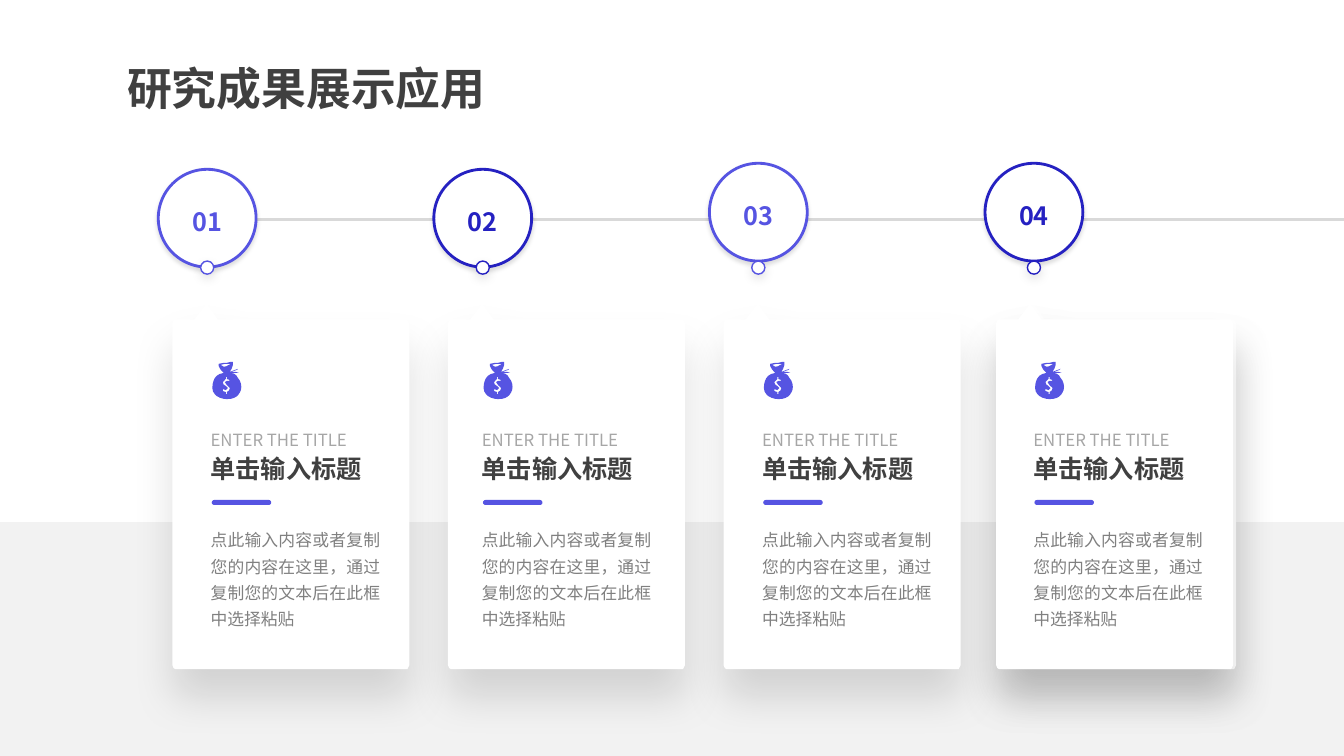
import math

from lxml import etree
from pptx import Presentation
from pptx import util as u
from pptx.dml import color as dml
from pptx.enum import shapes as kinds, text
from pptx.oxml import ns

FONT = "Noto Sans CJK SC"
VIOLET, NAVY, WHITE = "5654E2", "2521C1", "FFFFFF"
CARD_SHADOW = (13, 30, 20)
STEP_LEFT, STEP_PITCH = 1.57, 8.2 / 3
STEPS = [("01", VIOLET, 1.68), ("02", NAVY, 1.68), ("03", VIOLET, 1.62), ("04", NAVY, 1.62)]
CONTENT_LEFTS = [1.99, 4.68, 7.46, 10.15]

CARD = ["34 0, 45 16, 233 16, 234 16 235 17 235 20, 235 359, 235 361 234 363 233 363, "
        "3 363, 2 363 0 361 0 359, 0 20, 0 17 2 16 3 16, 22 16"]
MONEY_BAG = [
    "26 17, 25 14 22 12 19 12, 26 12, 27 12, 24 11, 19 11, 25 9, 26 8, 23 9, 18 11, "
    "20 8 22 3 21 1, 19 1, 15 2, 12 2, 7 3, 6 4 8 9 12 12, "
    "4 13 2 18 1 23, 0 27 1 31 3 33, 5 36 11 38 15 38, "
    "24 38 27 34 29 29, 30 25 29 20 26 17",
    "13 3, 19 3, 17 4, 14 6 12 7 9 4",
    "15 31, 15 33, 14 33, 14 31, 11 30, 11 28, 14 29, 16 27, 14 25, "
    "12 24 11 23 11 21, 11 20 12 19 14 18, 14 16, 15 16, 15 18, 18 19, 17 20, 15 20, "
    "13 21, 15 24, 17 24 18 25 18 27, 18 29 17 30 15 31",
]


def rgb(value):
    return dml.RGBColor.from_string(value)


def box(*lengths):
    return [u.Inches(length) for length in lengths]


def paint(shape, fill, line=None, width=1, shadow=None):
    shape.shadow.inherit = False
    shape.fill.solid()
    shape.fill.fore_color.rgb = rgb(fill)
    if line:
        shape.line.color.rgb = rgb(line)
        shape.line.width = u.Pt(width)
    else:
        shape.line.fill.background()
    if shadow:
        alpha, blur, distance = shadow
        effects = shape._element.spPr.find(ns.qn("a:effectLst"))
        outer = etree.SubElement(effects, ns.qn("a:outerShdw"), blurRad=str(u.Pt(blur)),
                                 dist=str(u.Pt(distance)), dir="5400000",
                                 algn="t", rotWithShape="0")
        black = etree.SubElement(outer, ns.qn("a:srgbClr"), val="000000")
        etree.SubElement(black, ns.qn("a:alpha"), val=str(alpha * 1000))


def write(frame, words, size, color, bold=False, spacing=1.2, align=text.PP_ALIGN.JUSTIFY):
    frame.word_wrap = True
    paragraph = frame.paragraphs[0]
    paragraph.alignment = align
    paragraph.line_spacing = spacing
    run = paragraph.add_run()
    run.text = words
    run.font.size = u.Pt(size)
    run.font.bold = bold
    run.font.color.rgb = rgb(color)
    run.font.name = FONT
    etree.SubElement(run._r.get_or_add_rPr(), ns.qn("a:ea"), typeface=FONT)


def trace(contour):
    numbers = [[float(n) for n in part.split()] for part in contour.split(",")]
    points = [tuple(numbers[0])]
    for segment in numbers[1:]:
        if len(segment) == 2:
            points.append(tuple(segment))
            continue
        x0, y0 = points[-1]
        x1, y1, x2, y2, x3, y3 = segment
        steps = max(1, round(math.dist((x0, y0), (x3, y3)) / 3))
        for i in range(1, steps + 1):
            t = i / steps
            a, b, c, d = (1 - t) ** 3, 3 * t * (1 - t) ** 2, 3 * t * t * (1 - t), t ** 3
            points.append((a * x0 + b * x1 + c * x2 + d * x3,
                           a * y0 + b * y1 + c * y2 + d * y3))
    return [(u.Inches(x / 100), u.Inches(y / 100)) for x, y in points]


def add_outline(slide, contours, left, top, fill, shadow=None):
    traced = [trace(contour) for contour in contours]
    builder = slide.shapes.build_freeform(*traced[0][0])
    for index, points in enumerate(traced):
        if index:
            builder.move_to(*points[0])
        builder.add_line_segments(points[1:], close=True)
    paint(builder.convert_to_shape(*box(left, top)), fill, shadow=shadow)


def add_heading(slide, left, top, width, height):
    heading = slide.shapes.title
    heading.left, heading.top, heading.width, heading.height = box(left, top, width, height)
    frame = heading.text_frame
    frame.vertical_anchor = text.MSO_ANCHOR.TOP
    frame.auto_size = text.MSO_AUTO_SIZE.SHAPE_TO_FIT_TEXT
    write(frame, "研究成果展示应用", 32, "404040", True, 1.3, text.PP_ALIGN.LEFT)


def add_backdrop(slide, width, height):
    band = slide.shapes.add_shape(kinds.MSO_SHAPE.RECTANGLE, *box(0, 5.18, width, height - 5.18))
    paint(band, "F2F2F2")
    timeline = slide.shapes.add_connector(kinds.MSO_CONNECTOR.STRAIGHT,
                                          *box(2.27, 2.18, width, 2.18))
    timeline.line.color.rgb = rgb("D9D9D9")
    timeline.line.width = u.Pt(2)
    etree.SubElement(timeline._element.spPr, ns.qn("a:effectLst"))


def add_step(slide, left, top, number, color):
    ring = slide.shapes.add_shape(kinds.MSO_SHAPE.OVAL, *box(left, top, 0.97, 0.97))
    paint(ring, WHITE, color, 2, (12, 3, 2))
    frame = ring.text_frame
    frame.margin_left = frame.margin_right = u.Inches(0.1)
    frame.margin_top = frame.margin_bottom = u.Inches(0.1)
    frame.vertical_anchor = text.MSO_ANCHOR.MIDDLE
    write(frame, number, 18, color, True, align=text.PP_ALIGN.CENTER)
    add_outline(slide, CARD, left + 0.14, 3.01, WHITE, CARD_SHADOW)
    dot = slide.shapes.add_shape(kinds.MSO_SHAPE.OVAL, *box(left + 0.42, 2.59, 0.13, 0.13))
    paint(dot, WHITE, color, 1, (11, 7, 3))


def add_content(slide, left, top):
    add_outline(slide, MONEY_BAG, left + 0.11, top, VIOLET)
    block = slide.shapes.add_group_shape()
    entries = [
        ("点此输入内容或者复制您的内容在这里，通过复制您的文本后在此框中选择粘贴",
         1.57, 1.88, 1.13, 12, "808080", False, 1.3),
        ("单击输入标题", 0.81, 2.19, 0.44, 18, "404040", True, 1.2),
        ("ENTER THE TITLE", 0.59, 2.19, 0.33, 12, "A6A6A6", False, 1.2),
    ]
    for words, drop, width, height, size, color, bold, spacing in entries:
        entry = block.shapes.add_textbox(*box(left, top + drop, width, height))
        entry.text_frame.auto_size = text.MSO_AUTO_SIZE.SHAPE_TO_FIT_TEXT
        write(entry.text_frame, words, size, color, bold, spacing)
    accent = block.shapes.add_shape(kinds.MSO_SHAPE.ROUNDED_RECTANGLE,
                                    *box(left + 0.11, top + 1.38, 0.59, 0.05))
    accent.adjustments[0] = 0.5
    paint(accent, VIOLET)


def main():
    deck = Presentation()
    width, height = 13.33, 7.5
    deck.slide_width, deck.slide_height = box(width, height)
    slide = deck.slides.add_slide(deck.slide_layouts[5])
    add_heading(slide, 1.16, 0.39, 4.72, 0.75)
    add_backdrop(slide, width, height)
    for index, (number, color, top) in enumerate(STEPS):
        add_step(slide, STEP_LEFT + index * STEP_PITCH, top, number, color)
    add_outline(slide, CARD, 9.88, 3.01, WHITE, CARD_SHADOW)
    for left in CONTENT_LEFTS:
        add_content(slide, left, 3.58)
    deck.save("out.pptx")


if __name__ == "__main__":
    main()
